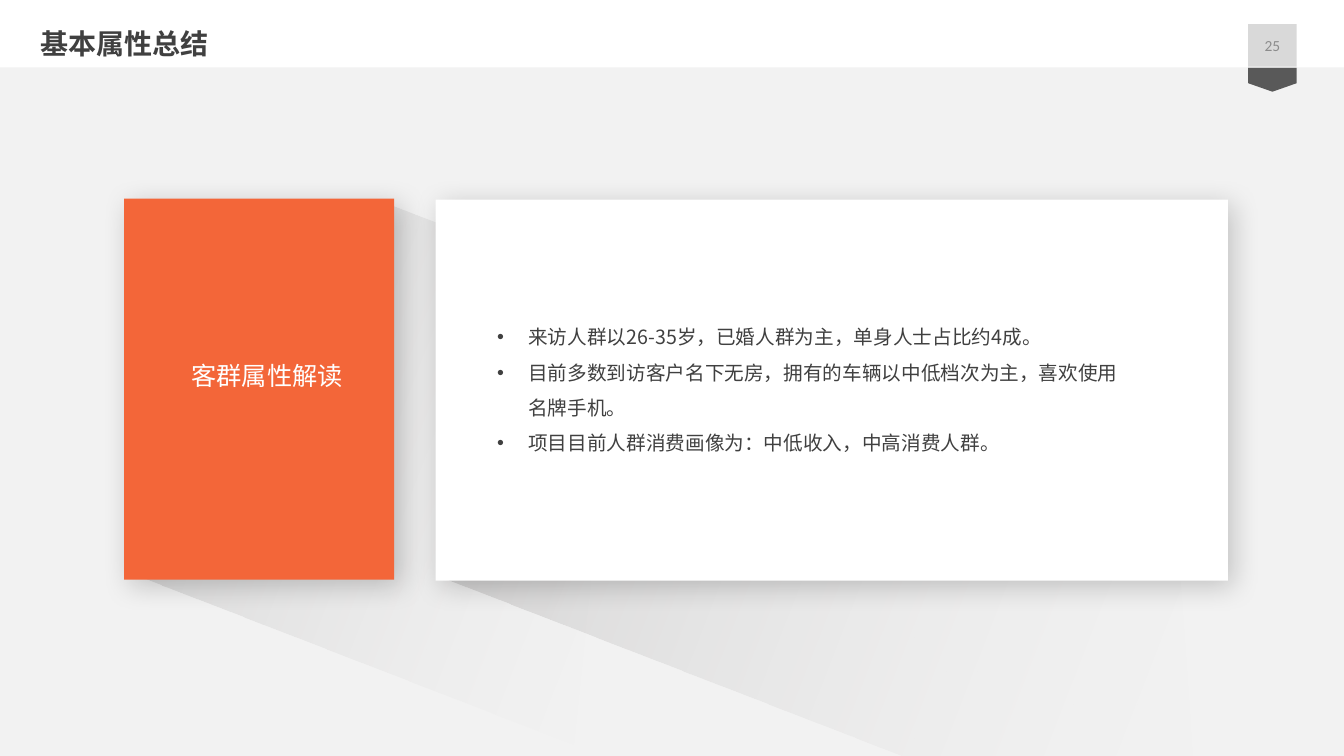
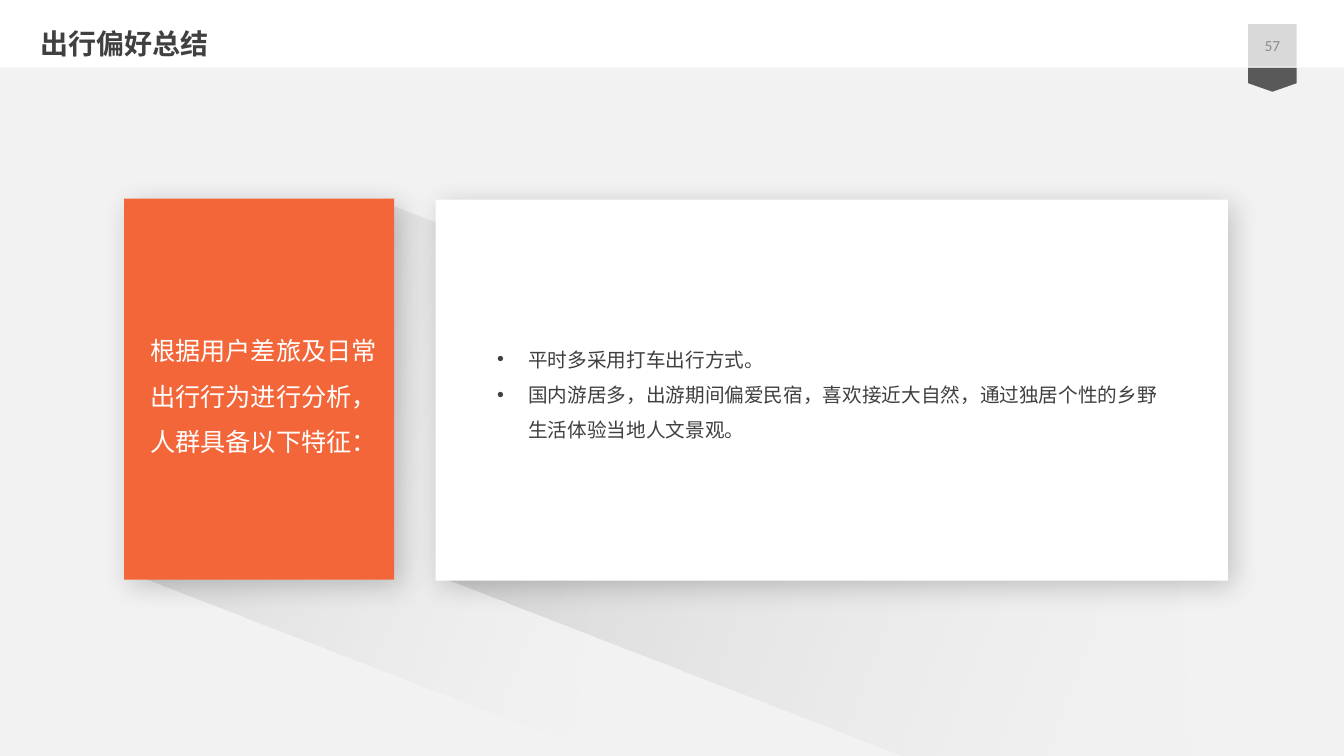
import math
from dataclasses import dataclass

import pptx
import pptx.dml.color
import pptx.enum.shapes
import pptx.enum.text
import pptx.oxml.ns
import pptx.util
from lxml import etree

Inches = pptx.util.Inches
Pt = pptx.util.Pt
Preset = pptx.enum.shapes.MSO_SHAPE
Anchor = pptx.enum.text.MSO_ANCHOR
Align = pptx.enum.text.PP_ALIGN
qn = pptx.oxml.ns.qn

COLORS = {
    "backdrop": "F2F2F2",
    "white": "FFFFFF",
    "accent": "F36639",
    "ribbon": "595959",
    "tab": "D9D9D9",
    "ink": "404040",
    "page": "8C8C8C",
    "shade": "3B3838",
    "black": "000000",
}
CJK = "Noto Sans CJK SC"
SHADE_TURN = 291.2


@dataclass(frozen=True)
class Box:
    left: float
    top: float
    width: float
    height: float

    def lengths(self) -> tuple:
        return tuple(Inches(v) for v in (self.left, self.top, self.width, self.height))


@dataclass(frozen=True)
class Block:
    box: Box
    color: str
    preset: int = Preset.RECTANGLE
    rotation: float = 0
    raised: bool = False


@dataclass(frozen=True)
class LongShade:
    center: tuple
    corners: tuple


@dataclass(frozen=True)
class TextStyle:
    size: float
    color: str
    font: str = CJK
    bold: bool = False
    align: int = Align.LEFT
    spacing: float = 1.0
    bullet: bool = False


@dataclass(frozen=True)
class Summary:
    title: str
    page: str
    label: str
    label_box: Box
    label_align: int
    findings: tuple
    findings_box: Box


# Shared frame: backdrop, header, page ribbon, cards and their long shades
PAGE_BOX = Box(12.38, 0.24, 0.48, 0.42)
TITLE_BOX = Box(0.3, 0.21, 11.33, 0.44)
HEADER = (
    Block(Box(0, 0, 13.33, 7.5), "backdrop"),
    Block(Box(12.5, 0.55, 0.24, 0.48), "ribbon", Preset.PENTAGON, 90),
    Block(Box(0, 0, 13.33, 0.67), "white"),
    Block(PAGE_BOX, "tab"),
)
SHADES = (
    LongShade((8.9, 5.16), ((5.76, 2.01), (7.56, 2.32), (11.56, 3.87), (11.9, 8.65), (4.33, 5.71))),
    LongShade((4.3, 4.53), ((2.77, 2.01), (3.86, 2.04), (6.15, 2.93), (5.68, 7.4), (1.33, 5.71))),
)
CARDS = (
    Block(Box(1.23, 1.97, 2.68, 3.78), "accent", raised=True),
    Block(Box(4.32, 1.98, 7.86, 3.78), "white", raised=True),
)

TITLE_STYLE = TextStyle(20, "ink", bold=True)
PAGE_STYLE = TextStyle(11, "page", font="Calibri", align=Align.CENTER)
FINDING_STYLE = TextStyle(14, "ink", spacing=1.5, bullet=True)

SUMMARIES = (
    Summary(
        "基本属性总结", "25",
        "客群属性解读", Box(1.32, 3.38, 2.66, 0.5), Align.CENTER,
        (
            "来访人群以26-35岁，已婚人群为主，单身人士占比约4成。",
            "目前多数到访客户名下无房，拥有的车辆以中低档次为主，喜欢使用名牌手机。",
            "项目目前人群消费画像为：中低收入，中高消费人群。",
        ),
        Box(4.33, 3.06, 7.02, 1.51),
    ),
    Summary(
        "出行偏好总结", "57",
        "根据用户差旅及日常出行行为进行分析，人群具备以下特征：",
        Box(1.39, 3.13, 2.48, 1.46), Align.LEFT,
        (
            "平时多采用打车出行方式。",
            "国内游居多，出游期间偏爱民宿，喜欢接近大自然，通过独居个性的乡野生活体验当地人文景观。",
        ),
        Box(4.33, 3.28, 7.25, 1.16),
    ),
)


def rgb(name: str) -> pptx.dml.color.RGBColor:
    return pptx.dml.color.RGBColor.from_string(COLORS[name])


def add_alpha(color_element, percent: int) -> None:
    etree.SubElement(color_element, qn("a:alpha"), val=str(percent * 1000))


def draw_block(shapes, block: Block):
    shape = shapes.add_shape(block.preset, *block.box.lengths())
    shape.rotation = block.rotation
    shape.fill.solid()
    shape.fill.fore_color.rgb = rgb(block.color)
    shape.line.fill.background()
    shape.shadow.inherit = False
    if block.preset == Preset.PENTAGON:
        shape.adjustments[0] = 0.35
    if block.raised:
        effects = shape.element.spPr.find(qn("a:effectLst"))
        outer = etree.SubElement(
            effects, qn("a:outerShdw"), blurRad=str(Pt(20)), dist=str(Pt(6)),
            dir="2700000", algn="tl", rotWithShape="0")
        add_alpha(etree.SubElement(outer, qn("a:srgbClr"), val=COLORS["black"]), 20)
    return shape


def draw_shade(shapes, shade: LongShade):
    """Draw the outline upright and turn it, so the gradient turns along."""
    turn = math.radians(-SHADE_TURN)
    cx, cy = shade.center
    upright = [
        (Inches(cx + (x - cx) * math.cos(turn) - (y - cy) * math.sin(turn)),
         Inches(cy + (x - cx) * math.sin(turn) + (y - cy) * math.cos(turn)))
        for x, y in shade.corners
    ]
    builder = shapes.build_freeform(*upright[0])
    builder.add_line_segments(upright[1:], close=True)
    shape = builder.convert_to_shape()
    shape.rotation = SHADE_TURN
    shape.line.fill.background()
    shape.shadow.inherit = False
    shape.fill.gradient()
    shape.fill.gradient_angle = 270
    for stop, (color, opacity) in zip(shape.fill.gradient_stops, (("shade", 20), ("backdrop", 0))):
        stop.color.rgb = rgb(color)
    for color_element, opacity in zip(shape.element.spPr.iter(qn("a:srgbClr")), (20, 0)):
        add_alpha(color_element, opacity)
    return shape


def build_layout(layout, shapes) -> None:
    """Draw the frame with a slide's shapes, then hand it to the layout."""
    frame = [draw_block(shapes, block) for block in HEADER]
    frame += [draw_shade(shapes, shade) for shade in SHADES]
    frame += [draw_block(shapes, card) for card in CARDS]
    for order, shape in enumerate(frame):
        shape.element.nvSpPr.cNvPr.set("id", str(100 + order))
        layout.shapes.element.insert(2 + order, shape.element)


def write(holder, box: Box, lines: tuple, style: TextStyle, anchor: int = Anchor.TOP) -> None:
    holder.left, holder.top, holder.width, holder.height = box.lengths()
    frame = holder.text_frame
    frame.word_wrap = True
    frame.auto_size = pptx.enum.text.MSO_AUTO_SIZE.NONE
    frame.vertical_anchor = anchor
    frame.text = "\n".join(lines)
    for paragraph in frame.paragraphs:
        paragraph.alignment = style.align
        paragraph.line_spacing = style.spacing
        paragraph.space_before = Pt(0)
        properties = paragraph._p.get_or_add_pPr()
        if style.bullet:
            paragraph.level = 1
            properties.set("marL", str(Inches(0.81)))
            properties.set("indent", str(Inches(-0.31)))
            etree.SubElement(properties, qn("a:buFont"), typeface="Arial")
            etree.SubElement(properties, qn("a:buChar"), char="•")
        font = paragraph.font
        font.size = Pt(style.size)
        font.bold = style.bold
        font.color.rgb = rgb(style.color)
        font.name = style.font
        etree.SubElement(properties.find(qn("a:defRPr")), qn("a:ea"), typeface=style.font)


def fill_slide(slide, summary: Summary) -> None:
    write(slide.shapes.title, TITLE_BOX, (summary.title,), TITLE_STYLE, Anchor.MIDDLE)
    write(slide.placeholders[1], summary.findings_box, summary.findings, FINDING_STYLE)
    label_style = TextStyle(18, "white", align=summary.label_align, spacing=1.5)
    label = slide.shapes.add_textbox(*summary.label_box.lengths())
    write(label, summary.label_box, (summary.label,), label_style)
    page = slide.shapes.add_textbox(*PAGE_BOX.lengths())
    write(page, PAGE_BOX, (summary.page,), PAGE_STYLE, Anchor.MIDDLE)


def main() -> None:
    deck = pptx.Presentation()
    deck.slide_width, deck.slide_height = Inches(13.33), Inches(7.5)
    layout = deck.slide_layouts[1]
    slides = [deck.slides.add_slide(layout) for _ in SUMMARIES]
    build_layout(layout, slides[0].shapes)
    for slide, summary in zip(slides, SUMMARIES):
        fill_slide(slide, summary)
    deck.save("out.pptx")


if __name__ == "__main__":
    main()
